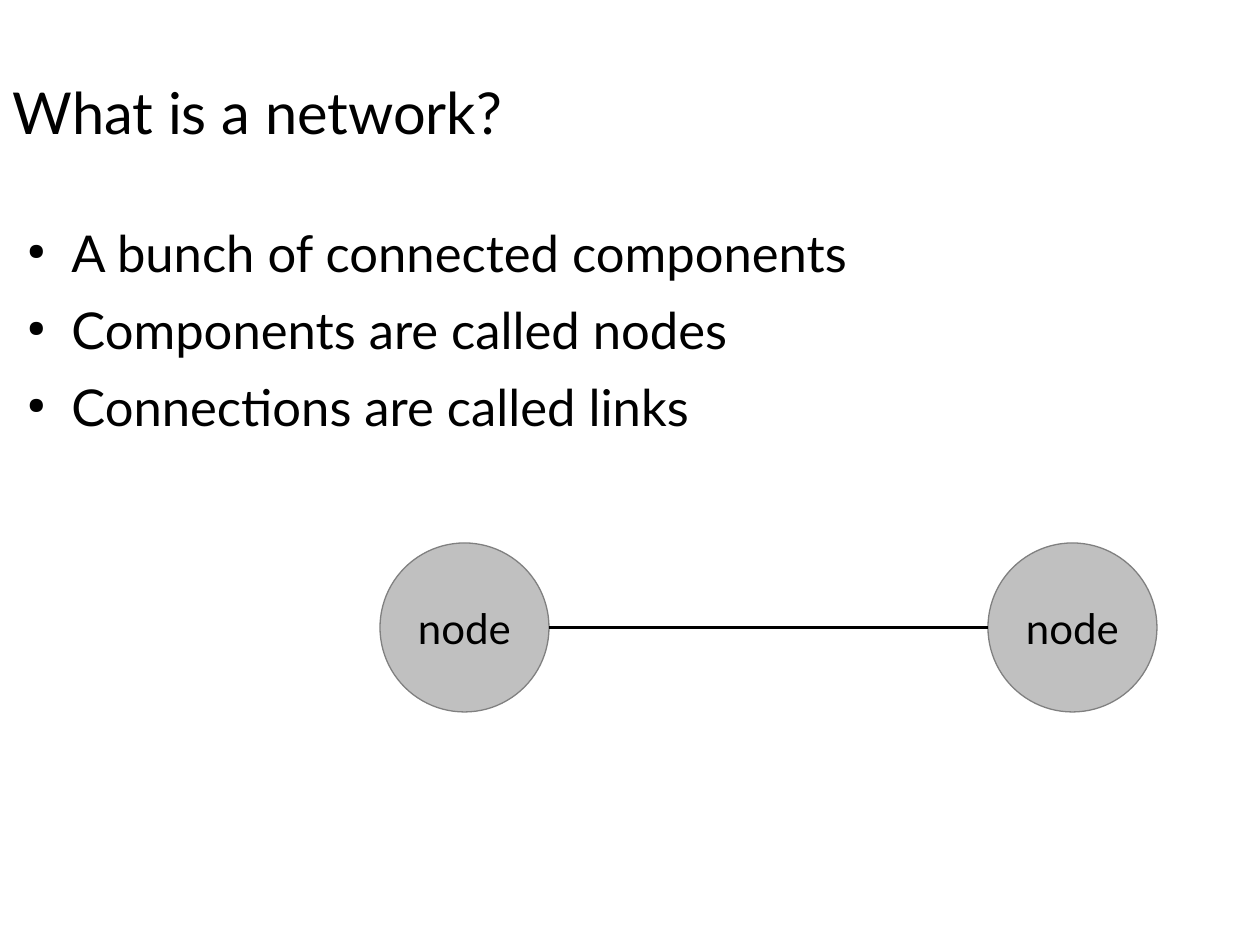
from lxml.etree import SubElement
from pptx import Presentation
from pptx.dml.color import RGBColor
from pptx.enum.shapes import MSO_CONNECTOR as CONNECTOR, MSO_SHAPE as SHAPE
from pptx.enum.text import MSO_ANCHOR as ANCHOR, MSO_AUTO_SIZE as AUTO_SIZE, PP_ALIGN as ALIGN
from pptx.oxml.ns import qn
from pptx.util import Pt

PX = 914400 // 126
FONT = "Lato"
COLORS = {"text": "000000", "node": "C0C0C0", "outline": "808080", "link": "000000"}
POINTS = [
    "A bunch of connected components",
    "Components are called nodes",
    "Connections are called links",
]
NODE_SIZE, NODE_TOP = 169, 543
NODE_LEFTS = (380, 988)


def px(*lengths):
    """Turn pixel lengths into EMU."""
    return [length * PX for length in lengths]


def color(name):
    """Look up a named colour."""
    return RGBColor.from_string(COLORS[name])


def add_text(paragraph, text, size, align=ALIGN.LEFT):
    """Add one formatted run to a paragraph."""
    paragraph.alignment = align
    run = paragraph.add_run()
    run.text = text
    run.font.name = FONT
    run.font.size = Pt(size)
    run.font.color.rgb = color("text")


def set_title(slide, text):
    """Place and fill the title placeholder."""
    title = slide.shapes.title
    title.left, title.top, title.width, title.height = px(0, 38, 1134, 156)
    frame = title.text_frame
    frame.auto_size = AUTO_SIZE.NONE
    frame.vertical_anchor = ANCHOR.MIDDLE
    heading = frame.paragraphs[0]
    heading.line_spacing = 0.9
    add_text(heading, text, 33)


def add_bullet(paragraph):
    """Give a paragraph a hanging dot."""
    properties = paragraph._p.get_or_add_pPr()
    indent, hanging = px(59, -44)
    properties.set("marL", str(indent))
    properties.set("indent", str(hanging))
    SubElement(properties, qn("a:buSzPct"), val="45000")
    SubElement(properties, qn("a:buChar"), char="●")


def add_points(slide, points):
    """Add the bulleted statements."""
    frame = slide.shapes.add_textbox(*px(0, 222, 1134, 624)).text_frame
    frame.word_wrap = True
    for index, point in enumerate(points):
        paragraph = frame.add_paragraph() if index else frame.paragraphs[0]
        paragraph.line_spacing = 0.9
        paragraph.space_after = Pt(12.8)
        add_bullet(paragraph)
        add_text(paragraph, point, 29)


def add_node(slide, left):
    """Add a labelled circle."""
    node = slide.shapes.add_shape(SHAPE.OVAL, *px(left, NODE_TOP, NODE_SIZE, NODE_SIZE))
    node.shadow.inherit = False
    node.fill.solid()
    node.fill.fore_color.rgb = color("node")
    node.line.color.rgb = color("outline")
    node.line.width = Pt(0)
    frame = node.text_frame
    frame.word_wrap = False
    frame.vertical_anchor = ANCHOR.MIDDLE
    add_text(frame.paragraphs[0], "node", 24, ALIGN.CENTER)
    return node


def add_link(slide, start, end):
    """Join the facing sides of two circles."""
    middle = start.top + start.height // 2
    link = slide.shapes.add_connector(
        CONNECTOR.STRAIGHT, start.left + start.width, middle, end.left, middle
    )
    link.line.color.rgb = color("link")
    link.line.width = Pt(0)
    SubElement(link._element.spPr, qn("a:effectLst"))


def main():
    """Build and save the slide."""
    deck = Presentation()
    deck.slide_width, deck.slide_height = px(1260, 945)
    slide = deck.slides.add_slide(deck.slide_layouts[5])
    set_title(slide, "What is a network?")
    add_points(slide, POINTS)
    first, second = [add_node(slide, left) for left in NODE_LEFTS]
    add_link(slide, first, second)
    deck.save("out.pptx")


if __name__ == "__main__":
    main()
